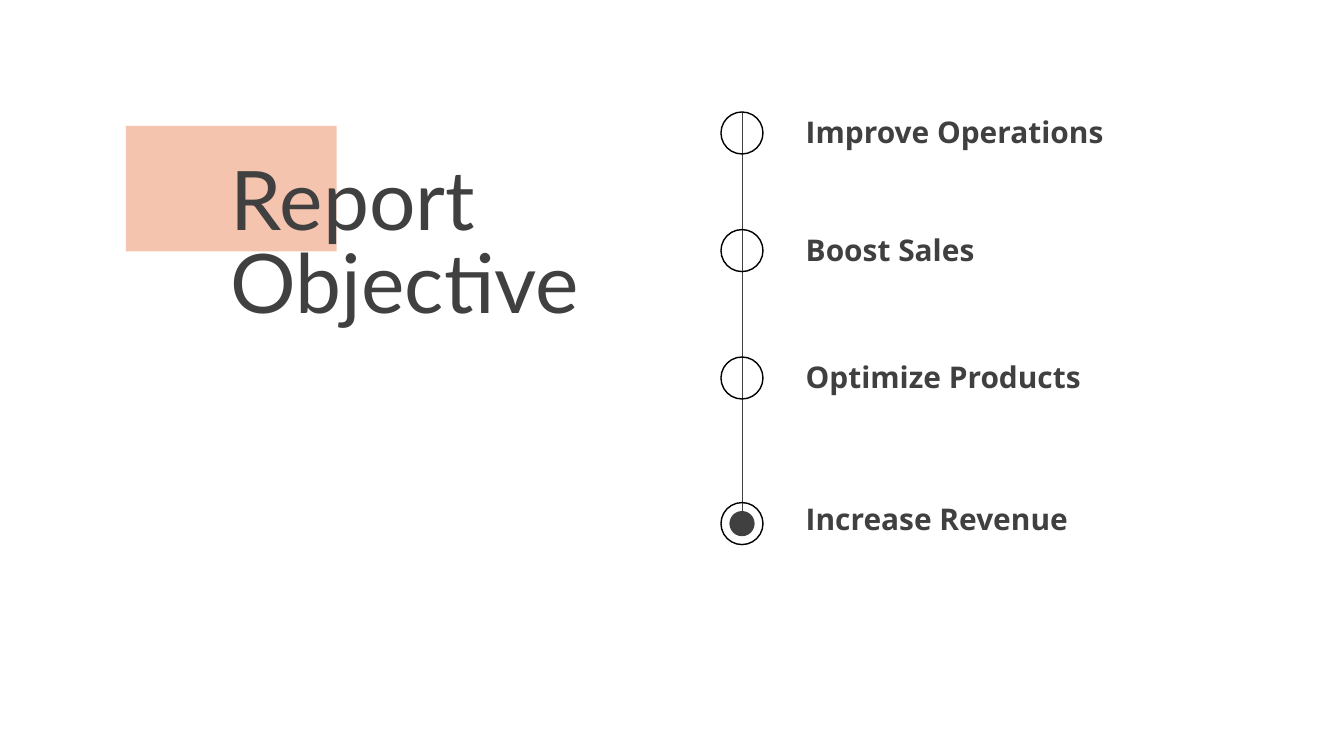
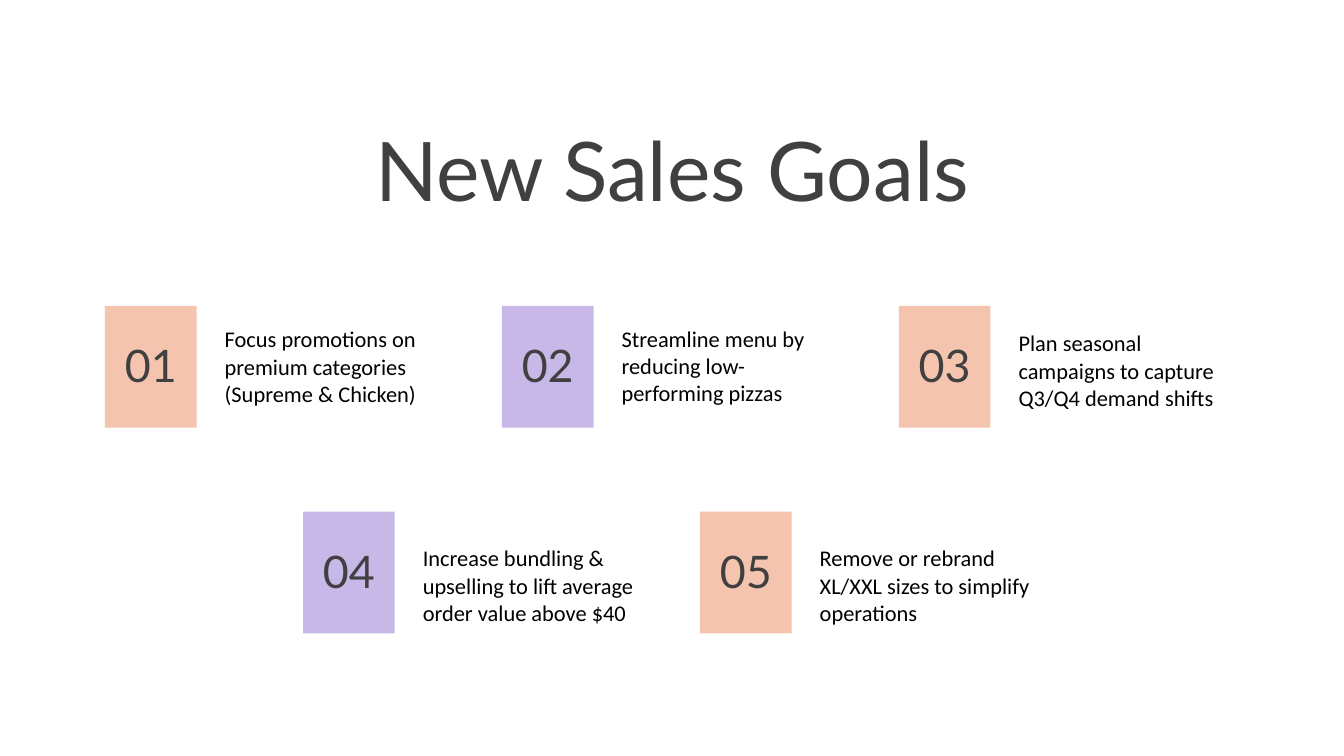
from lxml.etree import SubElement
from pptx import Presentation
from pptx.dml.color import RGBColor
from pptx.enum.shapes import MSO_CONNECTOR as LINK, MSO_SHAPE as FORM
from pptx.enum.text import MSO_ANCHOR as ANCHOR, MSO_AUTO_SIZE as FIT, PP_ALIGN as ALIGN
from pptx.oxml.ns import qn
from pptx.util import Pt

PX = 9525
INK = RGBColor(0x40, 0x40, 0x40)
BLACK = RGBColor(0, 0, 0)
PEACH = RGBColor(0xF5, 0xC4, 0xAF)
LILAC = RGBColor(0xC7, 0xB8, 0xE7)
TITLE = ("Lato", 88, 88, INK)
LABEL = ("Open Sans", 32, 44.8, INK)
NUMBER = ("Lato", 48, 48, INK)
BODY = ("Calibri", 24, 29.4, BLACK)


def write(slide, text, area, style, align=ALIGN.LEFT):
    left, top, width, height = [n * PX for n in area]
    if style is TITLE:
        box = slide.shapes.title
        box.left, box.top, box.width, box.height = left, top, width, height
    else:
        box = slide.shapes.add_textbox(left, top, width, height)
    face, size, pitch, color = style
    frame = box.text_frame
    frame.text = text
    frame.word_wrap = True
    frame.auto_size = FIT.SHAPE_TO_FIT_TEXT
    frame.vertical_anchor = ANCHOR.TOP
    frame.margin_left = frame.margin_top = frame.margin_right = frame.margin_bottom = 0
    for para in frame.paragraphs:
        para.alignment = align
        para.line_spacing = Pt(pitch)
        para.space_before = Pt(0)
        for run in para.runs:
            run.font.name = face
            run.font.size = Pt(size)
            run.font.bold = style is LABEL
            run.font.color.rgb = color
    return box


def draw(slide, form, area, fill=None):
    shape = slide.shapes.add_shape(form, *[n * PX for n in area])
    shape.shadow.inherit = False
    if fill is None:
        shape.fill.background()
        shape.line.color.rgb = BLACK
        shape.line.width = Pt(1.5)
    else:
        shape.fill.solid()
        shape.fill.fore_color.rgb = fill
        shape.line.fill.background()
    return shape


deck = Presentation()
deck.slide_width = 1920 * PX
deck.slide_height = 1080 * PX
layout = deck.slide_layouts[5]

slide = deck.slides.add_slide(layout)
title = write(slide, "Report\nObjective", (330, 236, 566, 239), TITLE)
block = draw(slide, FORM.RECTANGLE, (180, 180, 301, 179), PEACH)
title.element.addprevious(block.element)

line = slide.shapes.add_connector(LINK.STRAIGHT, 1061 * PX, 160 * PX, 1061 * PX, 742 * PX)
line.line.color.rgb = INK
line.line.width = Pt(1.5)
SubElement(line.element.spPr, qn("a:effectLst"))

steps = [
    ("Improve Operations", 160, 154),
    ("Boost Sales", 328, 323),
    ("Optimize Products", 510, 504),
    ("Increase Revenue", 718, 706),
]
for text, ring, top in steps:
    draw(slide, FORM.OVAL, (1030, ring, 60, 60))
    write(slide, text, (1151, top, 468, 57), LABEL)
draw(slide, FORM.OVAL, (1042, 730, 36, 36), INK)

slide = deck.slides.add_slide(layout)
write(slide, "New Sales Goals", (403, 194, 1114, 123), TITLE, ALIGN.CENTER)

goals = [
    ("Focus promotions on premium categories (Supreme & Chicken)", 27),
    ("Streamline menu by reducing low-performing pizzas", 26),
    ("Plan seasonal campaigns to capture Q3/Q4 demand shifts", 33),
    ("Increase bundling & upselling to lift average order value above $40", 46),
    ("Remove or rebrand XL/XXL sizes to simplify operations", 46),
]
for i, (text, drop) in enumerate(goals):
    row, col = divmod(i, 3)
    left = 150 + 567 * col + 283 * row
    top = 437 + 294 * row
    draw(slide, FORM.RECTANGLE, (left, top, 131, 174), (PEACH, LILAC)[i % 2])
    write(slide, f"{i + 1:02}", (left, top + 58, 131, 68), NUMBER, ALIGN.CENTER)
    write(slide, text, (left + 171, top + drop, 316, 116), BODY)

deck.save("out.pptx")
